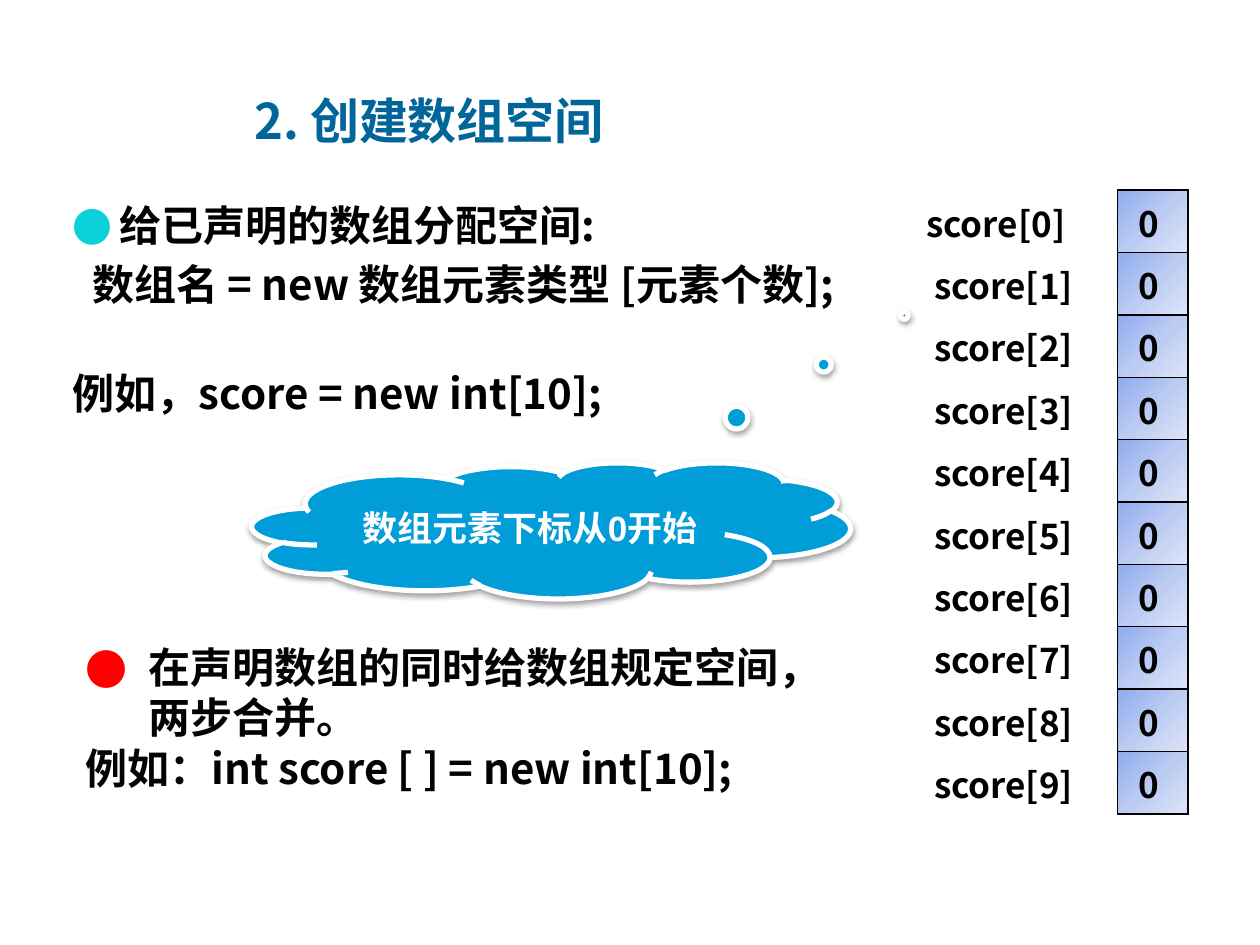
from dataclasses import dataclass
from typing import Optional

from lxml.etree import SubElement
from pptx import Presentation
from pptx.dml.color import RGBColor as Rgb
from pptx.enum.shapes import MSO_SHAPE as Shape
from pptx.enum.text import MSO_ANCHOR as Anchor, MSO_AUTO_SIZE as AutoSize, PP_ALIGN as Align
from pptx.oxml import parse_xml
from pptx.oxml.ns import nsdecls, qn
from pptx.util import Pt


@dataclass(frozen=True)
class Theme:
    font: str = "Noto Sans CJK SC"
    callout_font: str = "Arial"
    title: str = "006699"
    ink: str = "000000"
    soft_ink: str = "030305"
    first_bullet: str = "0BD0D9"
    second_bullet: str = "FF0000"
    cloud: str = "009DD9"
    white: str = "FFFFFF"
    cell_gradient: tuple = ((0, "8EABEE"), (50, "BBCBF2"), (100, "DEE5F8"))
    title_size: float = 28
    body_size: float = 24
    small_size: float = 20
    line_height: float = 28.6


@dataclass(frozen=True)
class Line:
    text: str
    left: float = 0
    hanging: float = 0
    before: float = 0
    bullet: Optional[str] = None
    bullet_size: int = 100


THEME = Theme()


def style(paragraph, size: float, color: str, font: str = THEME.font) -> None:
    paragraph.font.size = Pt(size)
    paragraph.font.bold = True
    paragraph.font.color.rgb = Rgb.from_string(color)
    paragraph.font.name = font
    defaults = paragraph._p.get_or_add_pPr().find(qn("a:defRPr"))
    SubElement(defaults, qn("a:ea"), typeface=THEME.font)


def indent(paragraph, left: float, hanging: float) -> None:
    properties = paragraph._p.get_or_add_pPr()
    properties.set("marL", str(Pt(left)))
    properties.set("indent", str(-Pt(hanging)))


def add_bullet(paragraph, color: str, size: int) -> None:
    properties = paragraph._p.get_or_add_pPr()
    bullet_color = SubElement(properties, qn("a:buClr"))
    SubElement(bullet_color, qn("a:srgbClr"), val=color)
    SubElement(properties, qn("a:buSzPct"), val=str(size * 1000))
    SubElement(properties, qn("a:buFont"), typeface=THEME.font)
    SubElement(properties, qn("a:buChar"), char="●")


def add_lines(slide, box: tuple, lines: list[Line], color: str, top_inset: float):
    frame = slide.shapes.add_textbox(*map(Pt, box)).text_frame
    frame.word_wrap = True
    frame.margin_top = Pt(top_inset)
    frame.margin_bottom = Pt(1.5)
    for number, line in enumerate(lines):
        paragraph = frame.add_paragraph() if number else frame.paragraphs[0]
        paragraph.text = line.text
        indent(paragraph, line.left, line.hanging)
        paragraph.line_spacing = Pt(THEME.line_height)
        paragraph.space_before = Pt(line.before)
        if line.bullet:
            add_bullet(paragraph, line.bullet, line.bullet_size)
        style(paragraph, THEME.body_size, color)
    return frame


def fill_value_cell(cell) -> None:
    """Black frame and diagonal gradient of one array element."""
    properties = cell._tc.get_or_add_tcPr()
    for side in ("lnL", "lnR", "lnT", "lnB"):
        properties.append(parse_xml(
            f'<a:{side} {nsdecls("a")} w="{Pt(1)}"><a:solidFill>'
            f'<a:srgbClr val="{THEME.ink}"/></a:solidFill></a:{side}>'))
    stops = "".join(f'<a:gs pos="{position * 1000}"><a:srgbClr val="{color}"/></a:gs>'
                    for position, color in THEME.cell_gradient)
    properties.append(parse_xml(
        f'<a:gradFill {nsdecls("a")} rotWithShape="1"><a:gsLst>{stops}</a:gsLst>'
        '<a:lin ang="2700000" scaled="0"/></a:gradFill>'))


def add_array(slide, length: int) -> None:
    table = slide.shapes.add_table(length, 2, Pt(522), Pt(108.72), Pt(156.96), Pt(356.4)).table
    table.first_row = table.horz_banding = False
    for column, width in zip(table.columns, (116.64, 40.32)):
        column.width = Pt(width)
    for index in range(length):
        label, value = table.cell(index, 0), table.cell(index, 1)
        label.text = f"\u00a0score[{index}] " if index else "score[0]"
        value.text = "0 "
        for cell in (label, value):
            indent(cell.text_frame.paragraphs[0], 18, 18)
            style(cell.text_frame.paragraphs[0], THEME.small_size, THEME.ink)
        value.text_frame.paragraphs[0].alignment = Align.CENTER
        label.fill.background()
        fill_value_cell(value)


def add_cloud(slide, text: str) -> None:
    cloud = slide.shapes.add_shape(Shape.CLOUD_CALLOUT, Pt(144), Pt(264.24), Pt(342), Pt(77.76))
    cloud.adjustments[0], cloud.adjustments[1] = 0.59, -1.58
    cloud.fill.solid()
    cloud.fill.fore_color.rgb = Rgb.from_string(THEME.cloud)
    cloud.line.color.rgb = Rgb.from_string(THEME.white)
    cloud.line.width = Pt(3)
    cloud.shadow.inherit = False
    effects = cloud._element.spPr.find(qn("a:effectLst"))
    shadow = SubElement(effects, qn("a:outerShdw"), blurRad=str(Pt(3.1)),
                        dist=str(Pt(1.6)), dir="5400000", rotWithShape="0")
    shade = SubElement(shadow, qn("a:srgbClr"), val=THEME.ink)
    SubElement(shade, qn("a:alpha"), val="38000")
    frame = cloud.text_frame
    frame.word_wrap = True
    frame.vertical_anchor = Anchor.MIDDLE
    message = frame.paragraphs[0]
    message.text = text
    message.alignment = Align.CENTER
    style(message, THEME.small_size, THEME.white, THEME.callout_font)


def add_title(slide, text: str) -> None:
    title = slide.shapes.title
    title.left, title.top, title.width, title.height = map(Pt, (131.76, 36, 423.36, 50.4))
    frame = title.text_frame
    frame.vertical_anchor = Anchor.BOTTOM
    frame.margin_bottom = Pt(1)
    heading = frame.paragraphs[0]
    heading.text = text
    heading.alignment = Align.LEFT
    style(heading, THEME.title_size, THEME.title)


deck = Presentation()
deck.slide_width, deck.slide_height = Pt(720), Pt(540)
slide = deck.slides.add_slide(deck.slide_layouts[5])

add_title(slide, "\u00a02. 创建数组空间")

# Allocation syntax and example
allocation = add_lines(slide, (34.56, 108, 480.24, 126), [
    Line("给已声明的数组分配空间:", 26.8, 26.8, bullet=THEME.first_bullet, bullet_size=95),
    Line("数组名 = new 数组元素类型 [元素个数];", 11, before=5.1),
    Line("例如，score = new int[10];", before=33.6),
], THEME.ink, 6.3)
allocation.margin_right = Pt(0)

# Array contents
add_array(slide, 10)

# Declaration combined with allocation
combined = add_lines(slide, (41.76, 360, 446.4, 94.32), [
    Line("在声明数组的同时给数组规定空间，两步合并。", 36, 36, bullet=THEME.second_bullet),
    Line("例如：int score [ ] = new int[10];"),
], THEME.soft_ink, 7)
combined.auto_size = AutoSize.SHAPE_TO_FIT_TEXT

# Index reminder
add_cloud(slide, "数组元素下标从0开始")

deck.save("out.pptx")
